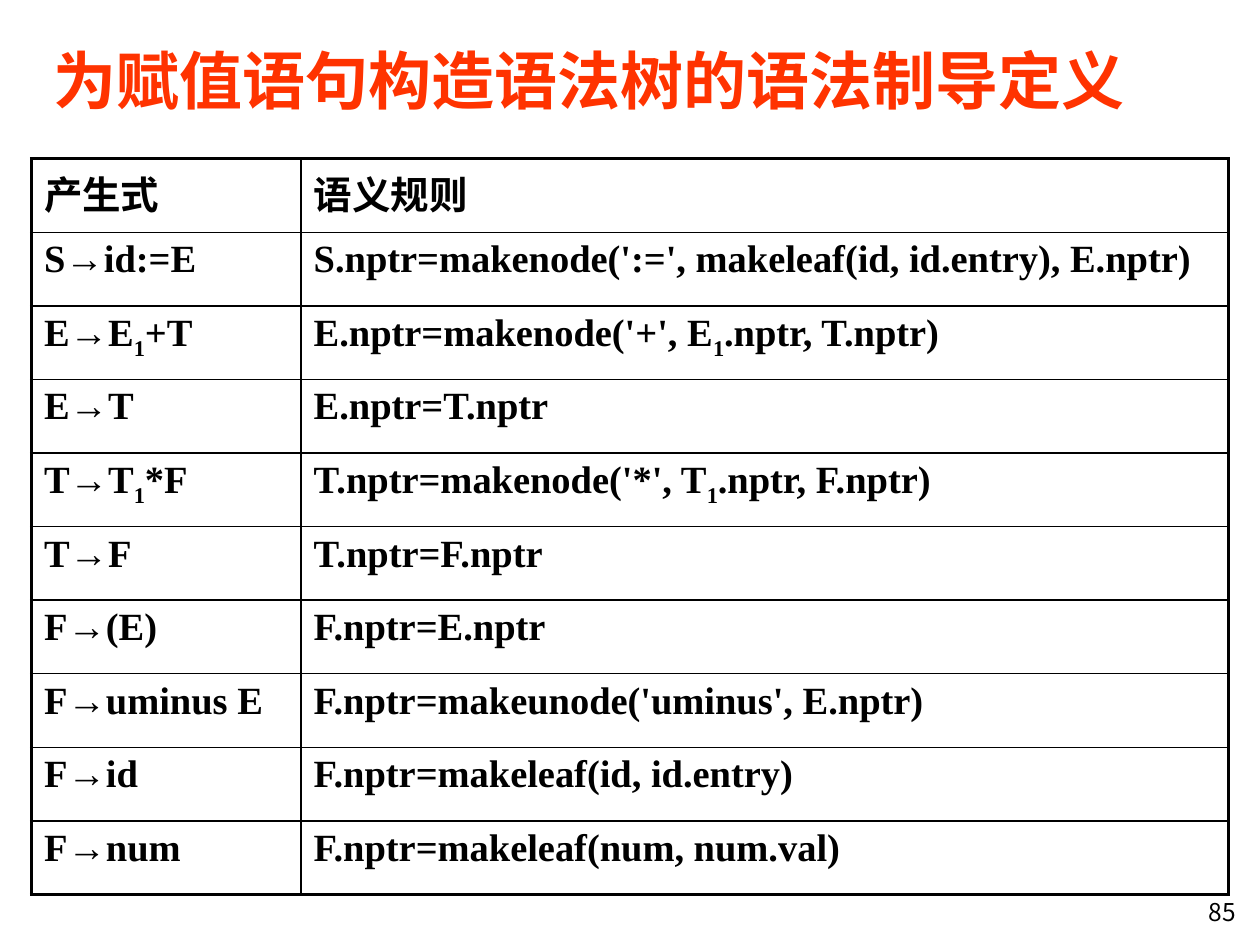
from lxml.etree import SubElement as Sub
from pptx import Presentation
from pptx.dml.color import RGBColor
from pptx.enum.text import MSO_ANCHOR as Anchor, PP_ALIGN as Align
from pptx.oxml.ns import qn
from pptx.util import Inches, Pt

BLACK = RGBColor(0, 0, 0)
RED = RGBColor(0xFF, 0x33, 0)
SANS = "Noto Sans CJK SC"
SERIF = "Times New Roman"

TITLE = "为赋值语句构造语法树的语法制导定义"
PAGE = "85"
HEAD = ("产生式", "语义规则")
RULES = [
    ("S→id:=E", "S.nptr=makenode(':=', makeleaf(id, id.entry), E.nptr)"),
    ("E→E|1|+T", "E.nptr=makenode('+', E|1|.nptr, T.nptr)"),
    ("E→T", "E.nptr=T.nptr"),
    ("T→T|1|*F", "T.nptr=makenode('*', T|1|.nptr, F.nptr)"),
    ("T→F", "T.nptr=F.nptr"),
    ("F→(E)", "F.nptr=E.nptr"),
    ("F→uminus E", "F.nptr=makeunode('uminus', E.nptr)"),
    ("F→id", "F.nptr=makeleaf(id, id.entry)"),
    ("F→num", "F.nptr=makeleaf(num, num.val)"),
]
WIDTHS = (2.14, 7.36)
HIGH = 5.84
THIN, THICK = 1, 2.25


def add_run(par, text, size, color, bold, face, asian=None):
    run = par.add_run()
    run.text = text
    font = run.font
    font.size, font.bold, font.name = Pt(size), bold, face
    font.color.rgb = color
    if asian:
        Sub(run._r.get_or_add_rPr(), qn("a:ea"), typeface=asian)
    return run


def add_label(slide, box, text, size, color, bold, align):
    frame = slide.shapes.add_textbox(*map(Inches, box)).text_frame
    frame.word_wrap = True
    frame.vertical_anchor = Anchor.MIDDLE
    par = frame.paragraphs[0]
    par.alignment = align
    add_run(par, text, size, color, bold, SANS, SANS)


def add_edge(cell, side, width):
    line = Sub(cell._tc.get_or_add_tcPr(), qn("a:ln" + side), w=str(Pt(width)))
    fill = Sub(line, qn("a:solidFill"))
    Sub(fill, qn("a:srgbClr"), val=str(BLACK))


def add_rules(slide):
    rows = [HEAD] + RULES
    last, end = len(rows) - 1, len(WIDTHS) - 1
    box = map(Inches, (0.25, 1.26, sum(WIDTHS), HIGH))
    table = slide.shapes.add_table(len(rows), len(WIDTHS), *box).table
    table.first_row = table.horz_banding = False
    for col, width in zip(table.columns, WIDTHS):
        col.width = Inches(width)
    for y, row in enumerate(rows):
        table.rows[y].height = Inches(HIGH / len(rows))
        for x, text in enumerate(row):
            cell = table.cell(y, x)
            outer = {"L": x == 0, "R": x == end, "T": y == 0, "B": y == last}
            for side, edge in outer.items():
                add_edge(cell, side, THICK if edge else THIN)
            cell.fill.background()
            par = cell.text_frame.paragraphs[0]
            for i, part in enumerate(text.split("|")):
                run = add_run(par, part, 22, BLACK, True, SERIF,
                              None if y else SANS)
                if i % 2:
                    run._r.get_or_add_rPr().set("baseline", "-25000")


def main():
    deck = Presentation()
    deck.slide_width, deck.slide_height = Inches(10), Inches(7.5)
    slide = deck.slides.add_slide(deck.slide_layouts[6])
    add_label(slide, (9.08, 7.06, 0.83, 0.36), PAGE, 14, BLACK, False, Align.RIGHT)
    add_label(slide, (0.33, 0.17, 9.42, 0.92), TITLE, 36, RED, True, Align.LEFT)
    add_rules(slide)
    deck.save("out.pptx")


if __name__ == "__main__":
    main()
